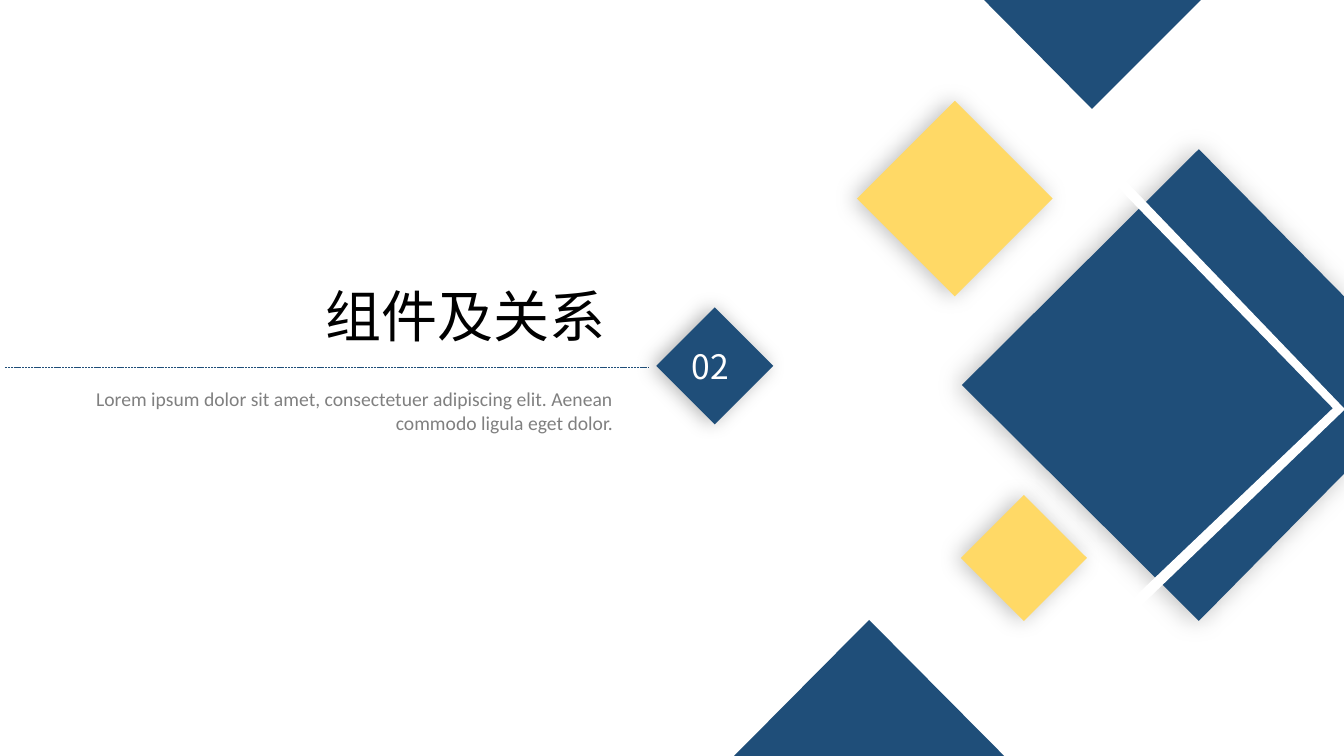
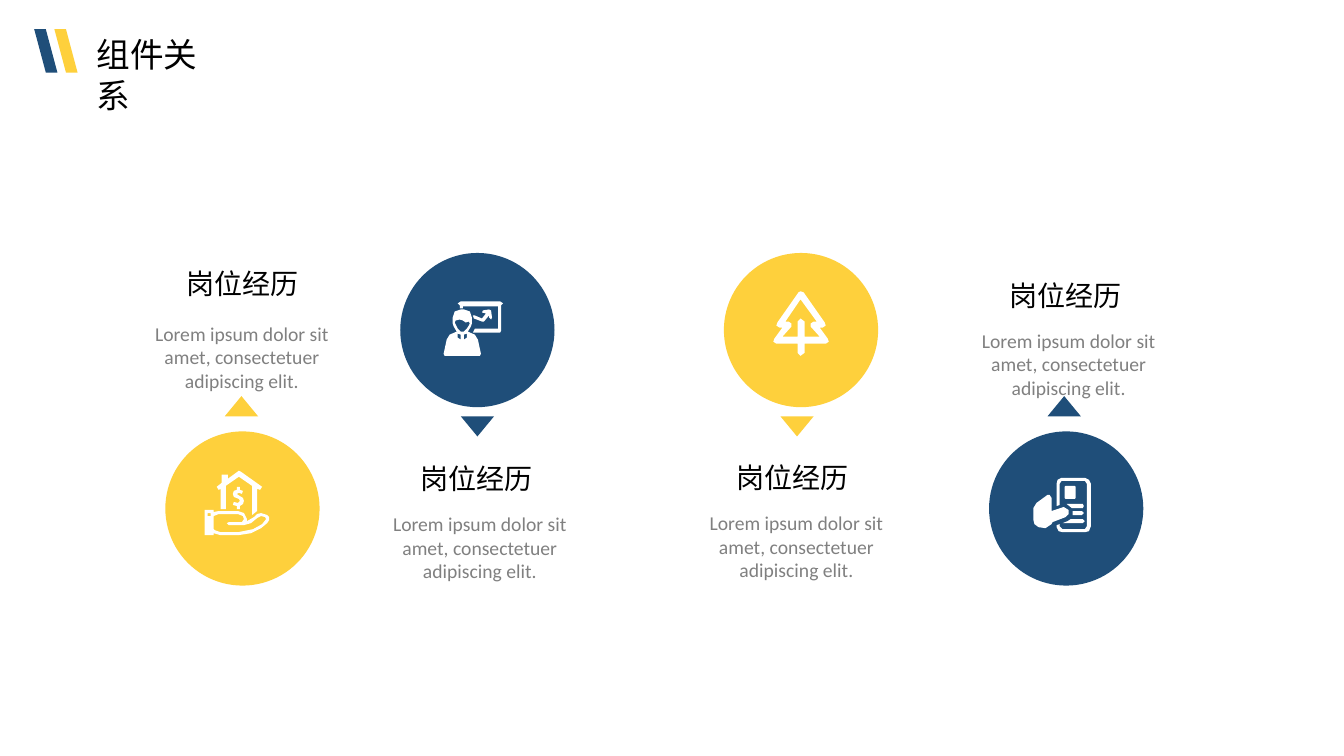
from collections import namedtuple

from lxml.etree import SubElement
from pptx import Presentation
from pptx.dml.color import RGBColor
from pptx.enum.dml import MSO_LINE
from pptx.enum.shapes import MSO_CONNECTOR, MSO_SHAPE
from pptx.enum.text import MSO_ANCHOR, MSO_AUTO_SIZE, PP_ALIGN
from pptx.oxml.ns import qn
from pptx.util import Inches, Pt

# Shared look
WIDTH, HEIGHT = 13.33, 7.5
NAVY = RGBColor(0x1F, 0x4E, 0x79)
YELLOW = RGBColor(0xFE, 0xD0, 0x3C)
PALE_YELLOW = RGBColor(0xFF, 0xD9, 0x66)
GREY = RGBColor(0x80, 0x80, 0x80)
BLACK = RGBColor(0, 0, 0)
WHITE = RGBColor(0xFF, 0xFF, 0xFF)
HEAD_FONT, BODY_FONT = "Noto Sans CJK SC", "Calibri"
CIRCLE = 1.53
ARROW_WIDTH, ARROW_HEIGHT = 0.33, 0.2

# Icon outlines, in hundredths of an inch from the icon's top left corner
HOUSE_IN_HAND = [
    # Roof and walls
    [(34, 0), (23, 8), (23, 4), (17, 4), (17, 12), (12, 16), (14, 19), (16, 18),
     (16, 38), (21, 38), (21, 15), (34, 6), (47, 15), (47, 44), (52, 40), (52, 18),
     (55, 19), (57, 16), (36, 1)],
    # Dollar sign
    [(32, 16), (32, 19), (29, 20), (28, 23), (29, 26), (34, 28), (35, 30), (33, 32),
     (29, 31), (28, 34), (32, 35), (32, 38), (35, 38), (35, 35), (38, 33), (39, 30),
     (38, 27), (33, 24), (32, 23), (34, 22), (37, 23), (38, 20), (35, 19), (35, 16)],
    # Hand with cuff
    [(0, 39), (0, 64), (9, 64), (9, 62), (16, 64), (33, 64), (46, 62), (56, 57),
     (62, 52), (64, 49), (64, 46), (62, 44), (56, 42), (52, 43), (49, 46), (42, 50),
     (42, 48), (39, 42), (33, 40), (14, 40), (9, 41), (9, 39)],
    [(3, 42), (6, 42), (6, 45), (3, 45)],
    [(33, 43), (38, 45), (39, 48), (37, 51), (24, 51), (22, 52), (24, 54), (39, 54),
     (46, 52), (52, 47), (56, 45), (60, 46), (61, 48), (57, 53), (48, 58), (33, 61),
     (16, 61), (10, 59), (9, 58), (9, 45), (14, 43)],
]
PRESENTER = [
    # Board
    [(17, 0), (14, 2), (16, 4), (16, 7), (19, 7), (19, 5), (54, 5), (54, 27), (31, 27),
     (29, 31), (56, 31), (57, 29), (57, 4), (59, 2), (56, 0)],
    # Person
    [(17, 8), (11, 10), (9, 16), (9, 22), (10, 25), (13, 30), (6, 33), (3, 38), (0, 52),
     (1, 54), (36, 54), (37, 52), (34, 38), (31, 33), (24, 30), (27, 25), (28, 22),
     (28, 16), (26, 10), (20, 8)],
    [(16, 18), (19, 19), (22, 21), (25, 20), (26, 22), (25, 24), (23, 27), (20, 30),
     (17, 30), (14, 27), (12, 23), (11, 21), (12, 19)],
    # Collar
    [(14, 32), (17, 33), (17, 38), (14, 36)],
    [(23, 32), (20, 33), (20, 38), (23, 36)],
    # Rising arrow
    [(45, 8), (39, 9), (38, 11), (42, 12), (38, 17), (31, 14), (29, 14), (30, 17),
     (38, 20), (40, 20), (45, 14), (45, 16), (47, 18), (48, 16), (47, 9)],
]
TREE = [
    [(27, 0), (25, 1), (4, 31), (3, 34), (6, 36), (9, 36), (1, 47), (0, 50), (3, 52),
     (24, 52), (24, 61), (27, 64), (31, 61), (31, 52), (52, 52), (55, 50), (54, 47),
     (46, 36), (49, 36), (52, 34), (51, 31), (30, 1)],
    [(31, 45), (31, 30), (27, 27), (24, 30), (24, 45), (9, 45), (18, 35), (18, 32),
     (15, 30), (12, 30), (27, 8), (43, 30), (40, 30), (37, 32), (37, 35), (46, 45)],
]
PHONE_IN_HAND = [
    # Phone frame
    [(28, 0), (24, 2), (23, 6), (23, 28), (26, 27), (26, 6), (28, 3), (51, 3), (53, 6),
     (53, 48), (51, 51), (29, 51), (26, 48), (26, 46), (23, 47), (23, 49), (25, 53),
     (29, 54), (51, 54), (55, 53), (57, 48), (57, 6), (55, 2), (51, 0)],
    # Picture and text rows
    [(32, 8), (41, 8), (42, 9), (42, 20), (41, 21), (32, 21), (31, 20), (31, 9)],
    [(33, 26), (38, 30), (49, 30), (50, 28), (49, 26)],
    [(39, 33), (39, 37), (48, 37), (50, 35), (48, 33)],
    [(37, 41), (34, 43), (29, 45), (49, 45), (51, 43), (49, 41)],
    # Hand
    [(16, 17), (14, 17), (3, 25), (0, 30), (0, 42), (1, 46), (5, 49), (12, 50), (18, 46),
     (19, 44), (32, 39), (35, 36), (35, 32), (30, 29), (18, 33), (18, 20)],
]

# Corner points and text corners are inches; icon is an offset inside the circle
Step = namedtuple("Step", "color circle arrow heading body icon icon_offset")
STEPS = [
    Step(YELLOW, (1.64, 4.28), (2.23, 3.93), (1.75, 2.59), (1.22, 3.14),
         HOUSE_IN_HAND, (0.39, 0.39)),
    Step(NAVY, (3.97, 2.51), (4.57, 4.13), (4.07, 4.53), (3.58, 5.03),
         PRESENTER, (0.43, 0.48)),
    Step(YELLOW, (7.18, 2.51), (7.74, 4.13), (7.21, 4.52), (6.72, 5.02),
         TREE, (0.49, 0.38)),
    Step(NAVY, (9.81, 4.28), (10.39, 3.93), (9.91, 2.71), (9.42, 3.21),
         PHONE_IN_HAND, (0.44, 0.46)),
]


def paint(shape, color, shadow=None):
    """Flat fill without outline; shadow is (opacity %, blur in points)."""
    shape.fill.solid()
    shape.fill.fore_color.rgb = color
    shape.line.fill.background()
    shape.shadow.inherit = False
    if shadow:
        opacity, blur = shadow
        effects = shape.element.spPr.find(qn("a:effectLst"))
        outer = SubElement(effects, qn("a:outerShdw"), blurRad=str(Pt(blur)),
                           dist=str(Pt(3)), dir="10800000", algn="r", rotWithShape="0")
        tint = SubElement(outer, qn("a:srgbClr"), val="000000")
        SubElement(tint, qn("a:alpha"), val=str(opacity * 1000))
    return shape


def add_preset(page, kind, box, color, shadow=None):
    shape = page.shapes.add_shape(kind, *map(Inches, box))
    return paint(shape, color, shadow)


def add_outline(page, contours, color, shadow=None, corner=(0, 0), unit=1):
    """Closed contours in one path; a contour inside another is a hole."""
    placed = [[(Inches(corner[0] + x * unit), Inches(corner[1] + y * unit))
               for x, y in contour] for contour in contours]
    builder = page.shapes.build_freeform(*placed[0][0])
    for index, points in enumerate(placed):
        if index:
            builder.move_to(*points[0])
        builder.add_line_segments(points[1:], close=True)
    return paint(builder.convert_to_shape(), color, shadow)


def write(box, text, size, color, font_name=HEAD_FONT, align=PP_ALIGN.LEFT, wrap=False):
    frame = box.text_frame
    frame.text = text
    frame.word_wrap = wrap
    frame.auto_size = MSO_AUTO_SIZE.SHAPE_TO_FIT_TEXT
    frame.vertical_anchor = MSO_ANCHOR.TOP
    para = frame.paragraphs[0]
    para.alignment = align
    font = para.font
    font.size, font.name = Pt(size), font_name
    font.color.rgb = color
    # The East Asian typeface follows the Latin one
    properties = para._p.pPr.find(qn("a:defRPr"))
    east_asian = SubElement(properties, qn("a:ea"), typeface=font_name)
    properties.find(qn("a:latin")).addnext(east_asian)


def add_text(page, box, *content, **style):
    write(page.shapes.add_textbox(*map(Inches, box)), *content, **style)


def add_page(deck, title, box, size):
    page = deck.slides.add_slide(deck.slide_layouts[5])
    holder = page.shapes.title
    holder.left, holder.top, holder.width, holder.height = map(Inches, box)
    write(holder, title, size, BLACK)
    return page


def draw_diamonds(page):
    """Decoration on the right side of a section page."""
    soft = (25, 16)
    add_preset(page, MSO_SHAPE.DIAMOND, (8.5, 1, 1.94, 1.94), PALE_YELLOW, soft)
    # Cut off by the top and bottom edges
    add_outline(page, [[(9.76, 0), (11.91, 0), (10.83, 1.08)]], NAVY)
    add_outline(page, [[(8.62, 6.15), (9.96, HEIGHT), (7.28, HEIGHT)]], NAVY)
    # Large diamond cut off by the right edge, with a white chevron
    add_outline(page, [[(11.89, 1.48), (WIDTH, 2.94), (WIDTH, 4.7), (11.89, 6.16),
                        (9.54, 3.82)]], NAVY, (25, 18))
    add_outline(page, [[(11.16, 1.79), (WIDTH, 4.05), (WIDTH, 4.07), (11.17, 6.15),
                        (11.1, 6.07), (13.22, 4.05), (11.09, 1.86)]], WHITE)
    add_preset(page, MSO_SHAPE.DIAMOND, (9.53, 4.91, 1.25, 1.25), PALE_YELLOW, soft)


def build_section(deck, number, title, summary):
    page = add_page(deck, title, (3.13, 2.74, 3.01, 0.77), 40)
    draw_diamonds(page)
    # Dashed rule leading to the number
    middle = Inches(3.64)
    rule = page.shapes.add_connector(MSO_CONNECTOR.STRAIGHT, Inches(0.05), middle,
                                     Inches(6.43), middle)
    rule.line.color.rgb = NAVY
    rule.line.width = Pt(0.5)
    rule.line.dash_style = MSO_LINE.SQUARE_DOT
    SubElement(rule.element.spPr, qn("a:effectLst"))
    # Number and summary
    add_preset(page, MSO_SHAPE.DIAMOND, (6.51, 3.05, 1.16, 1.16), NAVY, (30, 14))
    add_text(page, (6.76, 3.38, 0.6, 0.5), number, 24, WHITE)
    add_text(page, (0.37, 3.79, 5.81, 0.57), summary, 14, GREY, font_name=BODY_FONT,
             align=PP_ALIGN.RIGHT, wrap=True)


def draw_title_mark(page, left, top):
    for index, color in enumerate((NAVY, YELLOW)):
        bar = add_preset(page, MSO_SHAPE.PARALLELOGRAM,
                         (left + 0.2 * index, top, 0.23, 0.43), color)
        bar.adjustments[0] = 0.5
        bar.element.spPr.get_or_add_xfrm().set("flipH", "1")


def draw_step(page, step, heading, body):
    """Circle with icon, and an arrow pointing to the text above or below it."""
    left, top = step.circle
    add_preset(page, MSO_SHAPE.OVAL, (left, top, CIRCLE, CIRCLE), step.color)
    corner = (left + step.icon_offset[0], top + step.icon_offset[1])
    add_outline(page, step.icon, WHITE, corner=corner, unit=0.01)
    arrow = add_preset(page, MSO_SHAPE.ISOSCELES_TRIANGLE,
                       (*step.arrow, ARROW_WIDTH, ARROW_HEIGHT), step.color)
    if step.arrow[1] > top:
        arrow.rotation = 180
    add_text(page, (*step.heading, 1.32, 0.44), heading, 20, BLACK)
    add_text(page, (*step.body, 2.36, 0.57), body, 14, GREY, font_name=BODY_FONT,
             align=PP_ALIGN.CENTER, wrap=True)


def build_steps(deck, title):
    page = add_page(deck, title, (0.86, 0.29, 1.53, 0.5), 24)
    draw_title_mark(page, 0.34, 0.29)
    for step in STEPS:
        draw_step(page, step, "岗位经历",
                  "Lorem ipsum dolor sit amet, consectetuer adipiscing elit.")


def main():
    deck = Presentation()
    deck.slide_width, deck.slide_height = Inches(WIDTH), Inches(HEIGHT)
    build_section(deck, "02", "组件及关系",
                  "Lorem ipsum dolor sit amet, consectetuer adipiscing elit. "
                  "Aenean commodo ligula eget dolor.")
    build_steps(deck, "组件关系")
    deck.save("out.pptx")


if __name__ == "__main__":
    main()
